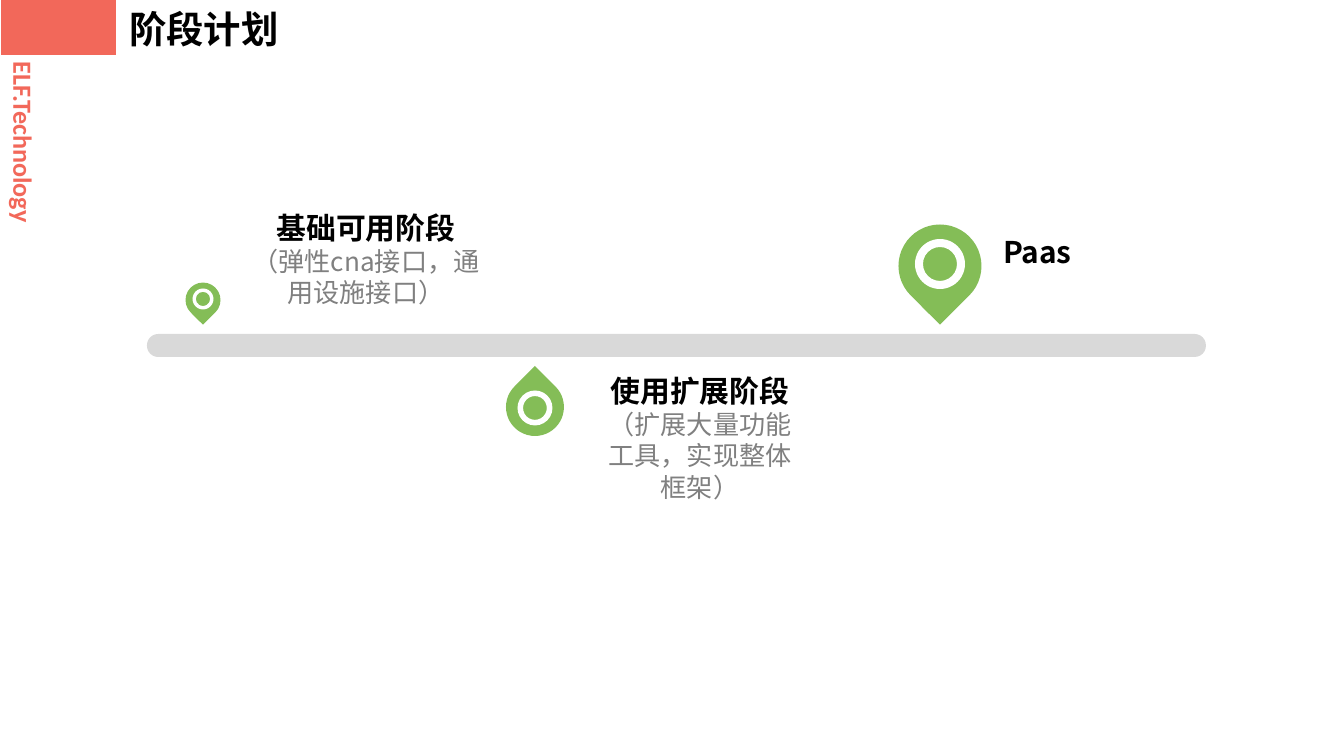
from lxml.etree import SubElement
from pptx import Presentation
from pptx.dml.color import RGBColor
from pptx.enum.shapes import MSO_SHAPE
from pptx.enum.text import PP_ALIGN
from pptx.oxml.ns import qn
from pptx.util import Emu, Pt

SLIDE_WIDTH, SLIDE_HEIGHT = 1344, 756
EMU_PER_PX = 9144000 / SLIDE_WIDTH

CORAL, GREEN, GREY = "F2685A", "84BD57", "D9D9D9"
BLACK, MUTED, WHITE = "000000", "808080", "FFFFFF"
CJK_FONT = "Noto Sans CJK SC"

# centre x, centre y, diameter, whether the tip points down to the bar
PINS = [(203, 300, 35, True), (940, 266, 83, True), (535, 407, 58, False)]

# box, heading, detail
STAGES = [
    ((228, 203, 276, 114), "基础可用阶段", "（弹性cna接口，通用设施接口）"),
    ((587, 366, 226, 146), "使用扩展阶段", "（扩展大量功能工具，实现整体框架）"),
    ((990, 227, 183, 99), "Paas", None),
]


def px(length):
    return Emu(round(length * EMU_PER_PX))


def color(hex_string):
    return RGBColor.from_string(hex_string)


def add_shape(slide, kind, box, fill, adjustment=None, rotation=0):
    shape = slide.shapes.add_shape(kind, *map(px, box))
    shape.shadow.inherit = False
    shape.fill.solid()
    shape.fill.fore_color.rgb = color(fill)
    shape.line.fill.background()
    shape.rotation = rotation
    if adjustment is not None:
        shape.adjustments[0] = adjustment


def add_text(slide, box, lines, align=PP_ALIGN.LEFT, space_before=0, rotation=0):
    """Add a text box; each line is (text, size, colour, bold, font)."""
    text_box = slide.shapes.add_textbox(*map(px, box))
    text_box.rotation = rotation
    frame = text_box.text_frame
    frame.word_wrap = True
    for index, (text, size, text_color, bold, font_name) in enumerate(lines):
        paragraph = frame.add_paragraph() if index else frame.paragraphs[0]
        paragraph.text = text
        paragraph.alignment = align
        paragraph.space_before = Pt(0 if index else space_before)
        font = paragraph.font
        font.size, font.bold, font.name = Pt(size), bold, font_name
        font.color.rgb = color(text_color)
        default_properties = paragraph._p.pPr.find(qn("a:defRPr"))
        SubElement(default_properties, qn("a:ea"), typeface=font_name)


def add_pin(slide, center_x, center_y, diameter, points_down):
    def centered(y, size):
        return center_x - size / 2, y - size / 2, size, size

    add_shape(slide, MSO_SHAPE.TEAR, centered(center_y, diameter), GREEN,
              rotation=135 if points_down else 315)
    ring_y = center_y + (-1 if points_down else 1) * round(diameter * 0.025)
    add_shape(slide, MSO_SHAPE.DONUT, centered(ring_y, round(diameter * 0.6)),
              WHITE, adjustment=0.16)


def add_stage(slide, box, heading, detail):
    lines = [(heading, 16, BLACK, True, CJK_FONT)]
    if detail:
        lines.append((detail, 14, MUTED, False, CJK_FONT))
    align = PP_ALIGN.CENTER if detail else PP_ALIGN.LEFT
    add_text(slide, box, lines, align, space_before=6)


def main():
    presentation = Presentation()
    presentation.slide_width = px(SLIDE_WIDTH)
    presentation.slide_height = px(SLIDE_HEIGHT)
    slide = presentation.slides.add_slide(presentation.slide_layouts[6])

    add_text(slide, (-76, 119, 198, 46),
             [("ELF.Technology", 14, CORAL, True, "Calibri")],
             PP_ALIGN.CENTER, rotation=90)
    add_shape(slide, MSO_SHAPE.RECTANGLE, (1, 0, 115, 55), CORAL)
    add_text(slide, (116, 0, 629, 93), [("阶段计划", 20, BLACK, True, CJK_FONT)])
    add_shape(slide, MSO_SHAPE.ROUNDED_RECTANGLE, (147, 334, 1059, 23), GREY,
              adjustment=0.49)
    for pin in PINS:
        add_pin(slide, *pin)
    for stage in STAGES:
        add_stage(slide, *stage)

    presentation.save("out.pptx")


if __name__ == "__main__":
    main()
